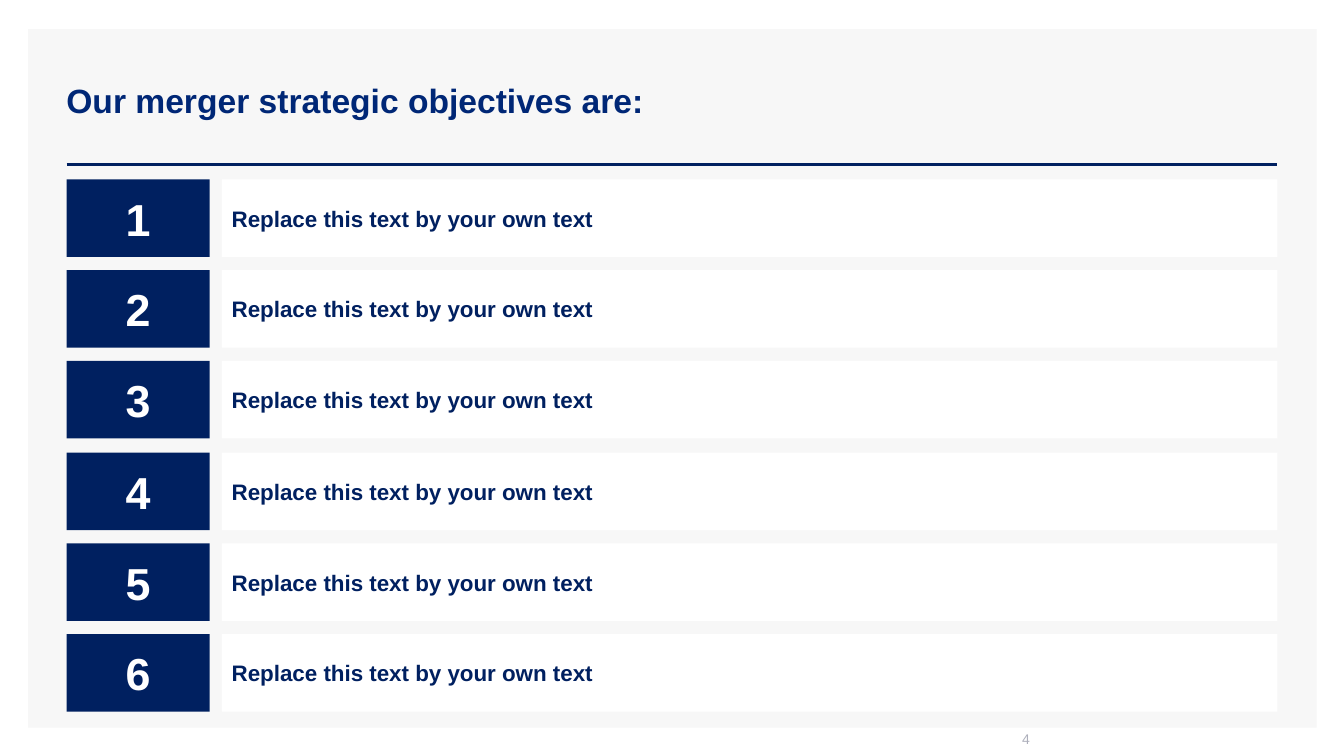
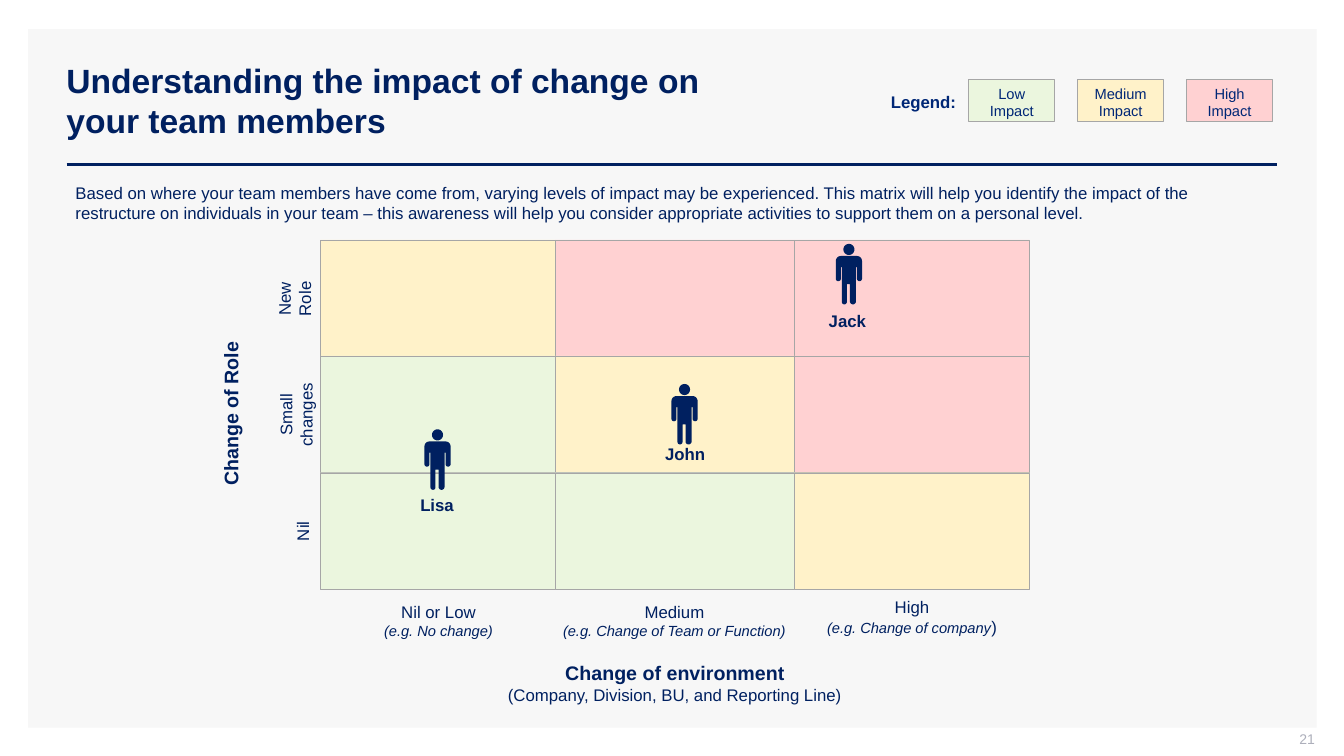
from dataclasses import dataclass
from math import cos, pi, sin

from lxml import etree
from pptx import Presentation
from pptx.dml.color import RGBColor
from pptx.enum.shapes import MSO_CONNECTOR, MSO_SHAPE
from pptx.enum.text import MSO_ANCHOR, PP_ALIGN
from pptx.oxml.ns import qn
from pptx.util import Emu, Pt

RECT, LINE = MSO_SHAPE.RECTANGLE, MSO_CONNECTOR.STRAIGHT
LEFT, MID, RIGHT = PP_ALIGN.LEFT, PP_ALIGN.CENTER, PP_ALIGN.RIGHT
TOP, CENTER = MSO_ANCHOR.TOP, MSO_ANCHOR.MIDDLE
SCALE = 9144  # EMU per px, 100 px to the inch


@dataclass(frozen=True)
class Theme:
    font: str = "Arial"
    navy: str = "002060"
    blue: str = "002776"
    white: str = "FFFFFF"
    panel: str = "F7F7F7"
    edge: str = "A6A6A6"
    page: str = "ADAFBB"
    title: float = 24
    digit: float = 32
    item: float = 16
    axis: float = 14
    body: float = 12
    small: float = 10.5
    foot: float = 10


T = Theme()

# Content: objectives
GOALS = ["Replace this text by your own text"] * 6

# Content: impact matrix
INTRO = (
    "Based on where your team members have come from, varying levels of impact "
    "may be experienced. This matrix will help you identify the impact of the "
    "restructure on individuals in your team – this awareness will help you "
    "consider appropriate activities to support them on a personal level."
)
LEVELS = {
    "L": ("Low Impact", "EBF6DE"),
    "M": ("Medium Impact", "FFF2C9"),
    "H": ("High Impact", "FFD1D2"),
}
MATRIX = ["MHH", "LMH", "LLM"]
COLS = [318, 551, 788, 1021]
ROWS = [238, 353, 469, 585]

# Each line of text: words, size, style and, if any, a tail in plain body size
AXES = [  # box, turn, wrap, insets, lines
    ((368, 592, 134, 48), 0, False, (10, 5),
     [("Nil or Low", T.body, ""), ("(e.g. No change)", T.small, "i")]),
    ((542, 592, 254, 68), 0, True, (10, 5),
     [("Medium", T.body, ""),
      ("(e.g. Change of Team or Function)", T.small, "i")]),
    ((799, 587, 211, 51), 0, True, (10, 5),
     [("High", T.body, ""), ("(e.g. Change of company", T.small, "i", ")")]),
    ((483, 646, 373, 63), 0, False, (20, 10),
     [("Change of environment", T.axis, "b"),
      ("(Company, Division, BU, and Reporting Line)", T.body, "")]),
    ((263, 271, 59, 51), 270, False, (10, 5),
     [("New", T.body, ""), ("Role", T.body, "")]),
    ((250, 386, 88, 51), 270, False, (10, 5),
     [("Small", T.body, ""), ("changes", T.body, "")]),
    ((280, 512, 40, 30), 270, False, (10, 5), [("Nil", T.body, "")]),
    ((137, 389, 183, 43), 270, False, (20, 10),
     [("Change of Role", T.axis, "b")]),
]
TEAM = [  # name, figure corner, label corner
    ("Jack", (829, 242), (804, 303)),
    ("John", (666, 381), (643, 435)),
    ("Lisa", (421, 426), (397, 486)),
]

# Figure outlines in px: corner x, y and rounding radius
BODY = [
    (0, 12, 5), (26, 12, 5), (26, 37, 2.5), (21, 37, 2.5), (21, 23, 0),
    (20, 23, 0), (20, 60, 3), (14, 60, 3), (14, 40, 0), (11, 40, 0),
    (11, 60, 2.5), (6, 60, 2.5), (6, 23, 0), (5, 23, 0), (5, 37, 2.5),
    (0, 37, 2.5),
]
HEAD = [(7.5, 0, 5.5), (18.5, 0, 5.5), (18.5, 11, 5.5), (7.5, 11, 5.5)]


def px(n):
    return Emu(round(n * SCALE))


def paint(shape, fill, edge=None, width=0.25):
    shape.shadow.inherit = False
    shape.fill.solid()
    shape.fill.fore_color.rgb = RGBColor.from_string(fill)
    if edge:
        shape.line.color.rgb = RGBColor.from_string(edge)
        shape.line.width = Pt(width)
    else:
        shape.line.fill.background()


def write(shape, lines, color=T.navy, align=LEFT, anchor=TOP,
          pads=(10, 5, 10, 5), wrap=True):
    frame = shape.text_frame
    frame.word_wrap, frame.vertical_anchor = wrap, anchor
    (frame.margin_left, frame.margin_top,
     frame.margin_right, frame.margin_bottom) = map(px, pads)
    for i, (words, size, style, *tail) in enumerate(lines):
        para = frame.add_paragraph() if i else frame.paragraphs[0]
        para.text = words
        para.alignment = align
        font = para.font
        font.name, font.size = T.font, Pt(size)
        font.bold, font.italic = "b" in style, "i" in style
        font.color.rgb = RGBColor.from_string(color)
        for end in tail:
            run = para.add_run()
            run.text = end
            run.font.size, run.font.italic = Pt(T.body), False


def block(slide, box, fill, edge=None, width=0.25):
    shape = slide.shapes.add_shape(RECT, *map(px, box))
    paint(shape, fill, edge, width)
    return shape


def label(slide, box, lines, turn=0, **style):
    shape = slide.shapes.add_textbox(*map(px, box))
    shape.rotation = turn
    write(shape, lines, **style)


def base(deck, title, color, page, align):
    """Add a slide with the shared panel, rule, title and page number."""
    slide = deck.slides.add_slide(deck.slide_layouts[6])
    block(slide, (28, 29, 1278, 693), T.panel)
    rule = slide.shapes.add_connector(LINE, *map(px, (66, 163, 1267, 163)))
    rule.line.color.rgb = RGBColor.from_string(T.navy)
    rule.line.width = Pt(2)
    etree.SubElement(rule._element.spPr, qn("a:effectLst"))
    label(slide, (56, 40, 1211, 119), [(title, T.title, "b")],
          color=color, anchor=CENTER)
    label(slide, (1004, 725, 300, 21), [(page, T.foot, "")], color=T.page,
          align=align, anchor=CENTER, pads=(10, 0, 0, 5))
    return slide


def curve(corners, left, top, steps=6):
    """Round the right-angled corners of a closed outline."""
    dots = []
    for i, (x, y, r) in enumerate(corners):
        ends = []
        for ox, oy, _ in (corners[i - 1], corners[(i + 1) % len(corners)]):
            far = abs(ox - x) + abs(oy - y)
            ends.append(((ox - x) / far, (oy - y) / far))
        (ax, ay), (bx, by) = ends
        for k in range(steps + 1 if r else 1):
            turn = k * pi / 2 / steps
            a, b = r * (1 - sin(turn)), r * (1 - cos(turn))
            dots.append((px(left + x + a * ax + b * bx),
                         px(top + y + a * ay + b * by)))
    return dots


def person(slide, left, top):
    body, head = curve(BODY, left, top), curve(HEAD, left, top)
    pen = slide.shapes.build_freeform(*body[0], scale=1.0)
    pen.add_line_segments(body[1:], close=True)
    pen.move_to(*head[0])
    pen.add_line_segments(head[1:], close=True)
    paint(pen.convert_to_shape(), T.navy)


def goals(deck):
    slide = base(deck, "Our merger strategic objectives are:", T.blue, "4", LEFT)
    first, last = 178, 629
    step = (last - first) / (len(GOALS) - 1)
    for i, goal in enumerate(GOALS):
        top = round(first + i * step)
        write(block(slide, (66, top, 142, 77), T.navy),
              [(str(i + 1), T.digit, "b")],
              color=T.white, align=MID, anchor=CENTER)
        write(block(slide, (220, top, 1047, 77), T.white),
              [(goal, T.item, "b")], anchor=CENTER)


def impact(deck):
    slide = base(
        deck, "Understanding the impact of change on\vyour team members",
        T.navy, "21", RIGHT)
    label(slide, (65, 176, 1202, 50), [(INTRO, T.body, "")])

    # Axis labels
    for box, turn, wrap, pads, lines in AXES:
        label(slide, box, lines, turn, align=MID, wrap=wrap, pads=pads * 2)

    # Matrix cells
    for r, row in enumerate(MATRIX):
        for c, key in enumerate(row):
            x, y = COLS[c], ROWS[r]
            box = (x, y, COLS[c + 1] - x, ROWS[r + 1] - y)
            block(slide, box, LEVELS[key][1], T.edge)

    # Team members
    for name, spot, tag in TEAM:
        person(slide, *spot)
        label(slide, (*tag, 73, 30), [(name, T.body, "b")], align=MID)

    # Legend
    for i, (name, fill) in enumerate(LEVELS.values()):
        key = block(slide, (961 + i * 108, 79, 85, 42), fill, T.edge, 0.75)
        write(key, [(name, T.small, "")], color=T.blue, align=MID)
    label(slide, (858, 86, 116, 30), [("Legend:", T.body, "b")],
          color=T.blue, align=MID)


def main():
    deck = Presentation()
    deck.slide_width, deck.slide_height = px(1333), px(750)
    goals(deck)
    impact(deck)
    deck.save("out.pptx")


if __name__ == "__main__":
    main()
